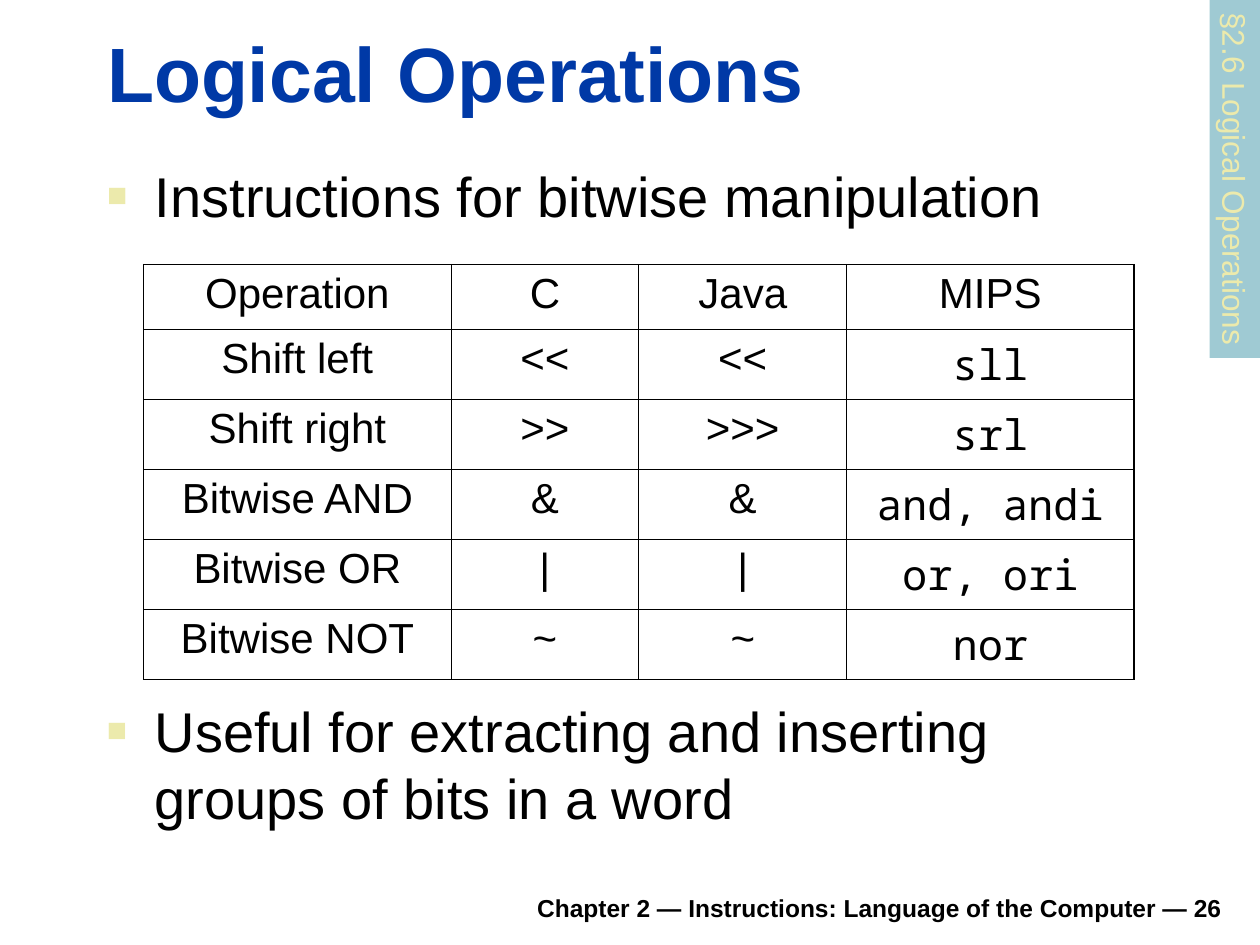
from lxml.etree import SubElement
from pptx import Presentation
from pptx.dml.color import RGBColor
from pptx.enum.shapes import MSO_SHAPE
from pptx.enum.text import MSO_ANCHOR, MSO_AUTO_SIZE, PP_ALIGN
from pptx.oxml import parse_xml
from pptx.oxml.ns import nsdecls, qn
from pptx.util import Inches, Pt

BLACK = RGBColor(0x00, 0x00, 0x00)
BLUE = RGBColor(0x00, 0x39, 0xA6)
YELLOW = RGBColor(0xEC, 0xEA, 0xAC)
TEAL = RGBColor(0x9F, 0xCA, 0xD3)
SANS, MONO = "Arial", "Noto Sans Mono"
OUTER, HEADER, INNER = 1.08, 0.75, 0.45  # table rules, in points


def write(frame, text, size, color=BLACK, font=SANS, bold=False,
          align=PP_ALIGN.LEFT, anchor=MSO_ANCHOR.TOP, wrap=True, bullet=False):
    frame.word_wrap = wrap
    frame.auto_size = MSO_AUTO_SIZE.NONE
    frame.vertical_anchor = anchor
    paragraph = frame.paragraphs[0]
    paragraph.alignment = align
    paragraph.space_before = Pt(0)
    if bullet:
        props = paragraph._p.get_or_add_pPr()
        props.set("marL", str(Inches(0.38)))
        props.set("indent", str(Inches(-0.38)))
        SubElement(SubElement(props, qn("a:buClr")), qn("a:srgbClr"), val=str(YELLOW))
        SubElement(props, qn("a:buSzPct"), val="60000")
        SubElement(props, qn("a:buFont"), typeface=SANS)
        SubElement(props, qn("a:buChar"), char="■")
    run = paragraph.add_run()
    run.text = text
    run.font.size = Pt(size)
    run.font.name = font
    run.font.bold = bold
    run.font.color.rgb = color


def set_borders(cell, **widths):
    props = cell._tc.get_or_add_tcPr()
    for position, side in enumerate("LRTB"):
        props.insert(position, parse_xml(
            f'<a:ln{side} {nsdecls("a")} w="{Pt(widths[side])}"><a:solidFill>'
            f'<a:srgbClr val="{BLACK}"/></a:solidFill></a:ln{side}>'))


prs = Presentation()
prs.slide_width, prs.slide_height = Inches(10), Inches(7.5)
slide = prs.slides.add_slide(prs.slide_layouts[1])

footer = slide.shapes.add_textbox(Inches(1.85), Inches(6.98), Inches(7.95), Inches(0.39))
write(footer.text_frame, "Chapter 2 — Instructions: Language of the Computer — 26", 14,
      bold=True, align=PP_ALIGN.RIGHT, anchor=MSO_ANCHOR.BOTTOM)

title = slide.shapes.title
title.left, title.top = Inches(0.75), Inches(0.16)
title.width, title.height = Inches(9.03), Inches(0.83)
write(title.text_frame, "Logical Operations", 44, color=BLUE, bold=True,
      anchor=MSO_ANCHOR.BOTTOM)

purpose = slide.placeholders[1]
purpose.left, purpose.top = Inches(0.75), Inches(1.23)
purpose.width, purpose.height = Inches(9.04), Inches(0.76)
write(purpose.text_frame, "Instructions for bitwise manipulation", 32, bullet=True)

# Operators by language
operators = [
    ("Operation", "C", "Java", "MIPS"),
    ("Shift left", "<<", "<<", "sll"),
    ("Shift right", ">>", ">>>", "srl"),
    ("Bitwise AND", "&", "&", "and, andi"),
    ("Bitwise OR", "|", "|", "or, ori"),
    ("Bitwise NOT", "~", "~", "nor"),
]
column_widths = [2.44, 1.49, 1.65, 2.28]
last_row, last_column = len(operators) - 1, len(column_widths) - 1
table = slide.shapes.add_table(len(operators), len(column_widths), Inches(1.14), Inches(2.1),
                               Inches(7.86), Inches(3.09)).table
table.horz_banding = False
for column, width in zip(table.columns, column_widths):
    column.width = Inches(width)
for r, row in enumerate(operators):
    for c, text in enumerate(row):
        cell = table.cell(r, c)
        cell.fill.background()
        cell.vertical_anchor = MSO_ANCHOR.TOP
        is_instruction = r > 0 and c == last_column
        write(cell.text_frame, text, 24, font=MONO if is_instruction else SANS,
              align=PP_ALIGN.CENTER)
        set_borders(cell,
                    L=OUTER if c == 0 else INNER,
                    R=OUTER if c == last_column else INNER,
                    T={0: OUTER, 1: HEADER}.get(r, INNER),
                    B={0: HEADER, last_row: OUTER}.get(r, INNER))

usage = slide.shapes.add_textbox(Inches(0.75), Inches(5.48), Inches(8.5), Inches(1.18))
write(usage.text_frame, "Useful for extracting and inserting groups of bits in a word", 32,
      bullet=True)

section_tab = slide.shapes.add_shape(MSO_SHAPE.RECTANGLE, Inches(8.38), Inches(1.22),
                                     Inches(2.84), Inches(0.4))
section_tab.rotation = 90
section_tab.shadow.inherit = False
section_tab.fill.solid()
section_tab.fill.fore_color.rgb = TEAL
section_tab.line.fill.background()
write(section_tab.text_frame, "§2.6 Logical Operations", 18, color=YELLOW, wrap=False)

prs.save("out.pptx")
